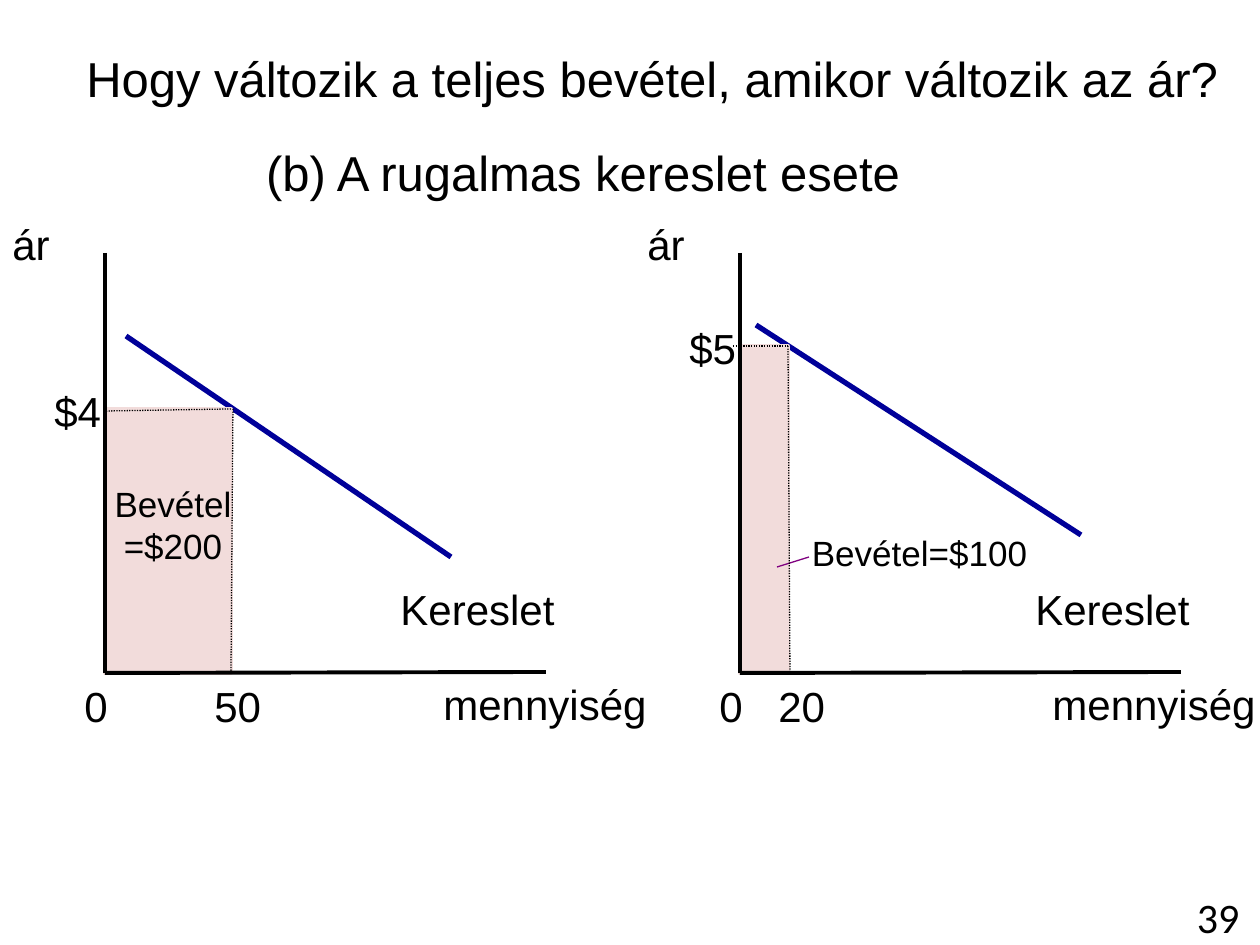
from lxml import etree
from pptx import Presentation
from pptx import util as u
from pptx.dml.color import RGBColor
from pptx.enum import dml, shapes, text
from pptx.oxml.ns import qn

# Content: lengths in px, x measured from each panel's origin
TITLE = "Hogy változik a teljes bevétel, amikor változik az ár?"
SUBTITLE = "(b) A rugalmas kereslet esete"
PAGE = "39"
BLACK, WHITE, PINK, NAVY, PURPLE = "000000", "FFFFFF", "F2DCDB", "000099", "800080"
TOP, BASE, PLOT_W = 253, 673, 441
LABEL_H = 63

PANELS = [
    dict(origin=105, price="$4", price_y=409, quantity="50", quantity_x=126,
         quantity_label_x=97, quantity_axis_label_x=326,
         demand=(21, 336, 346, 557),
         guides=[(128, 409, 126, BASE), (1, 411, 126, 409)],
         revenue=["Bevétel", "=$200"], revenue_box=(-4, 476, 144, 97), leader=None),
    dict(origin=740, price="$5", price_y=346, quantity="20", quantity_x=48,
         quantity_label_x=26, quantity_axis_label_x=300,
         demand=(16, 325, 341, 535),
         guides=[(48, 346, 50, BASE), (-7, 346, 48, 346)],
         revenue=["Bevétel=$100"], revenue_box=(58, 525, 243, 55),
         leader=(37, 567, 69, 557)),
]


def px(n):
    return u.Emu(round(n * 914400 / 126))


def color(value):
    return RGBColor.from_string(value)


prs = Presentation()
prs.slide_width, prs.slide_height = px(1260), px(945)
slide = prs.slides.add_slide(prs.slide_layouts[5])


def write(shape, lines, size, align, font="Arial", wrap=False):
    frame = shape.text_frame
    frame.text = "\n".join(lines)
    frame.word_wrap = wrap
    frame.vertical_anchor = text.MSO_ANCHOR.TOP
    frame.auto_size = (text.MSO_AUTO_SIZE.NONE if wrap
                       else text.MSO_AUTO_SIZE.SHAPE_TO_FIT_TEXT)
    for paragraph in frame.paragraphs:
        paragraph.alignment = align
        paragraph.font.size = u.Pt(size)
        paragraph.font.name = font
        paragraph.font.color.rgb = color(BLACK)


def label(lines, x, y, w, h=LABEL_H, size=24, align=text.PP_ALIGN.LEFT, **style):
    box = slide.shapes.add_textbox(px(x), px(y), px(w), px(h))
    write(box, lines, size, align, **style)


def area(x, y, w, h, fill):
    rect = slide.shapes.add_shape(shapes.MSO_SHAPE.RECTANGLE, px(x), px(y), px(w), px(h))
    rect.shadow.inherit = False
    rect.fill.solid()
    rect.fill.fore_color.rgb = color(fill)
    rect.line.color.rgb = color(fill)
    rect.line.width = u.Pt(2)


def line(origin, ends, stroke, width, dotted=False):
    x1, y1, x2, y2 = ends
    connector = slide.shapes.add_connector(
        shapes.MSO_CONNECTOR.STRAIGHT, px(origin + x1), px(y1), px(origin + x2), px(y2))
    connector.line.color.rgb = color(stroke)
    connector.line.width = u.Pt(width)
    if dotted:
        connector.line.dash_style = dml.MSO_LINE.ROUND_DOT
    etree.SubElement(connector._element.spPr, qn("a:effectLst"))


# Title, subtitle and page number
CENTER = text.PP_ALIGN.CENTER
title = slide.shapes.title
title.left, title.top, title.width, title.height = px(66), px(42), px(1172), px(72)
write(title, [TITLE], 28, CENTER)
label([SUBTITLE], 249, 136, 668, 72, size=28, align=CENTER)
label([PAGE], 1176, 885, 84, 50, align=CENTER, font="Calibri", wrap=True)

# Demand panels
for panel in PANELS:
    x0, price_y = panel["origin"], panel["price_y"]
    area(x0, TOP, PLOT_W, BASE - TOP, WHITE)

    # Demand curve
    line(x0, panel["demand"], NAVY, 3)
    label(["Kereslet"], x0 + 283, 577, 181)

    # Revenue area
    area(x0, price_y, panel["quantity_x"], BASE - price_y, PINK)
    rx, ry, rw, rh = panel["revenue_box"]
    label(panel["revenue"], x0 + rx, ry, rw, rh, size=20, align=CENTER)
    if panel["leader"]:
        line(x0, panel["leader"], PURPLE, 0.75)

    # Axes
    line(x0, (0, BASE, PLOT_W, BASE - 1), BLACK, 2.25)
    line(x0, (0, TOP, 0, BASE), BLACK, 2.25)
    label(["mennyiség"], x0 + panel["quantity_axis_label_x"], BASE - 1, 243)
    label(["0"], x0 - 33, BASE + 1, 49)
    label(["ár"], x0 - 105, 212, 74)

    # Price and quantity guides
    for guide in panel["guides"]:
        line(x0, guide, BLACK, 0.75, dotted=True)
    label([panel["quantity"]], x0 + panel["quantity_label_x"], BASE + 1, 73)
    label([panel["price"]], x0 - 63, price_y - 30, 73)

prs.save("out.pptx")
